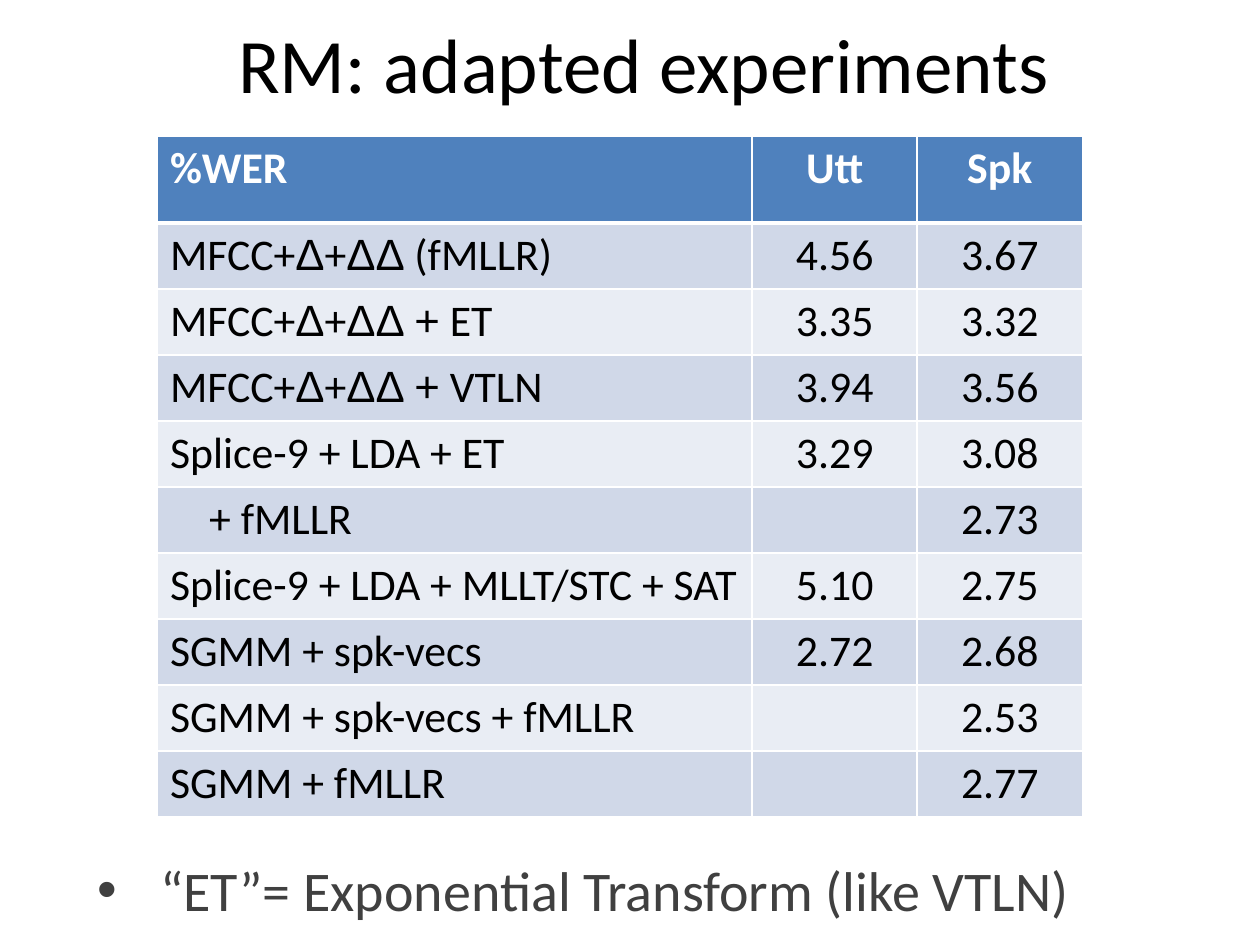
from lxml import etree
from pptx import Presentation
from pptx.dml.color import RGBColor
from pptx.enum.text import MSO_ANCHOR, MSO_AUTO_SIZE, PP_ALIGN
from pptx.oxml.ns import qn
from pptx.util import Inches, Pt

HEADER = ("%WER", "Utt", "Spk")
RESULTS = [
    ("MFCC+|Δ|+|ΔΔ |(fMLLR)", "4.56", "3.67"),
    ("MFCC+|Δ|+|ΔΔ +| ET", "3.35", "3.32"),
    ("MFCC+|Δ|+|ΔΔ +| VTLN", "3.94", "3.56"),
    ("Splice-9 + LDA + ET", "3.29", "3.08"),
    ("+ fMLLR", "", "2.73"),
    ("Splice-9 + LDA + MLLT/STC + SAT", "5.10", "2.75"),
    ("SGMM + spk-vecs", "2.72", "2.68"),
    ("SGMM + spk-vecs + fMLLR", "", "2.53"),
    ("SGMM + fMLLR", "", "2.77"),
]
COL_WIDTHS = (4.72, 1.31, 1.31)
HEADER_HEIGHT, ROW_HEIGHT = 0.69, 0.46
SUB_ROW = "+ fMLLR"


def rgb(color):
    """Turn a hex string into a colour."""
    return RGBColor.from_string(color)


def write(p, text, size, color, bold=False, align=PP_ALIGN.LEFT):
    """Fill a paragraph; parts between bars alternate Calibri and Arial."""
    p.alignment = align
    for i, part in enumerate(text.split("|")):
        r = p.add_run()
        r.text = part
        font = {"name": ("Calibri", "Arial")[i % 2], "size": Pt(size), "bold": bold}
        for key, value in font.items():
            setattr(r.font, key, value)
        r.font.color.rgb = rgb(color)


def place(sp, left, top, width, height, anchor):
    """Move a placeholder and return its first paragraph."""
    box = {"left": left, "top": top, "width": width, "height": height}
    for key, value in box.items():
        setattr(sp, key, Inches(value))
    tf = sp.text_frame
    frame = {"word_wrap": True, "auto_size": MSO_AUTO_SIZE.NONE, "vertical_anchor": anchor}
    for key, value in frame.items():
        setattr(tf, key, value)
    return tf.paragraphs[0]


def add_bullet(p, indent):
    """Give a paragraph a hanging round bullet."""
    pPr = p._p.get_or_add_pPr()
    pPr.set("marL", str(Inches(indent)))
    pPr.set("indent", str(-Inches(indent)))
    spacing = etree.SubElement(pPr, qn("a:spcBef"))
    etree.SubElement(spacing, qn("a:spcPct"), val="20000")
    etree.SubElement(pPr, qn("a:buFont"), typeface="Arial")
    etree.SubElement(pPr, qn("a:buChar"), char="•")


def add_borders(cell, color, bottom, top):
    """Draw the four cell borders, ahead of the fill."""
    tcPr = cell._tc.get_or_add_tcPr()
    widths = {"lnL": 1, "lnR": 1, "lnT": top, "lnB": bottom}
    for i, (side, width) in enumerate(widths.items()):
        ln = etree.Element(qn(f"a:{side}"), w=str(Pt(width)))
        fill = etree.SubElement(ln, qn("a:solidFill"))
        etree.SubElement(fill, qn("a:srgbClr"), val=color)
        tcPr.insert(i, ln)


def fill_cell(cell, text, row, col):
    """Format one cell by its row and column."""
    header = row == 0
    cell.fill.solid()
    cell.fill.fore_color.rgb = rgb("4F81BD" if header else ("E9EDF4", "D0D8E8")[row % 2])
    add_borders(cell, "FFFFFF", bottom=3 if header else 1, top=3 if row == 1 else 1)
    if text == SUB_ROW:
        cell.margin_left = Inches(0.41)
    if text:
        write(cell.text_frame.paragraphs[0], text, 25, "FFFFFF" if header else "000000",
              header, PP_ALIGN.CENTER if col else PP_ALIGN.LEFT)


def add_results(slide):
    """Add the table of error rates."""
    rows = [HEADER, *RESULTS]
    frame = slide.shapes.add_table(len(rows), len(HEADER), Inches(1.25), Inches(1.08),
                                   Inches(7.35), Inches(5.34))
    table = frame.table
    for column, width in zip(table.columns, COL_WIDTHS):
        column.width = Inches(width)
    for i, values in enumerate(rows):
        table.rows[i].height = Inches(ROW_HEIGHT if i else HEADER_HEIGHT)
        for j, text in enumerate(values):
            fill_cell(table.cell(i, j), text, i, j)


def main():
    """Build and save the slide."""
    prs = Presentation()
    prs.slide_width, prs.slide_height = Inches(10), Inches(7.5)
    slide = prs.slides.add_slide(prs.slide_layouts[0])
    title, note = slide.placeholders
    p = place(title, 0.83, 0.04, 8.56, 0.92, MSO_ANCHOR.MIDDLE)
    write(p, "RM: adapted experiments", 44, "000000", align=PP_ALIGN.CENTER)
    p = place(note, 0.67, 6.74, 9.33, 0.75, MSO_ANCHOR.TOP)
    write(p, "“ET”= Exponential Transform (like VTLN)", 32, "404040")
    add_bullet(p, 0.5)
    add_results(slide)
    prs.save("out.pptx")


main()
